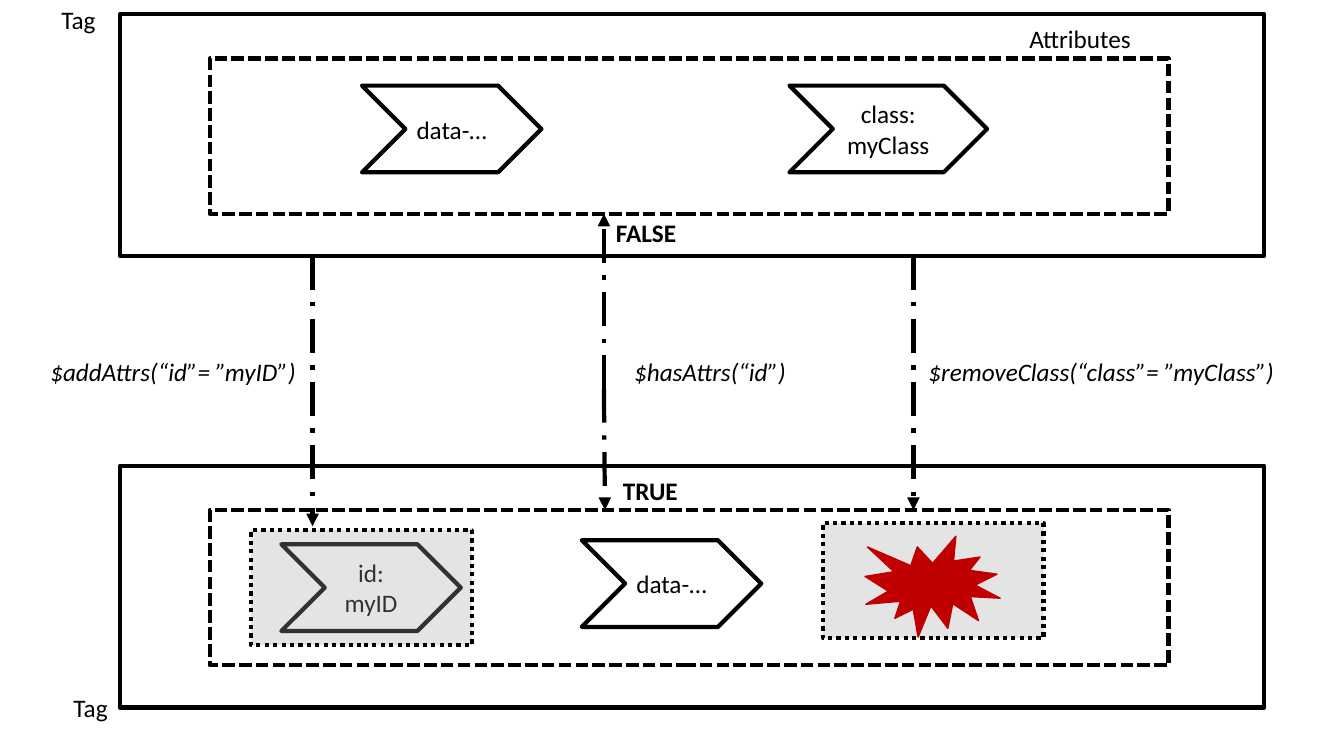
from pptx import Presentation
from pptx.dml.color import RGBColor
from pptx.enum.dml import MSO_LINE
from pptx.enum.shapes import MSO_CONNECTOR, MSO_SHAPE
from pptx.enum.text import MSO_ANCHOR, PP_ALIGN
from pptx.oxml.ns import qn
from pptx.util import Inches, Pt
from lxml.etree import SubElement

BLACK, GREY, RED = "000000", "A6A6A6", "C00000"
TAG_X, TAG_W, TAG_H = 1.19, 11.35, 2.4
TOP_Y, BOTTOM_Y = 0.14, 4.62
ATTRS_DX, ATTRS_DY = 0.89, 0.44


def color(value):
    return RGBColor.from_string(value)


def add_run(p, text, bold=False, italic=False):
    r = p.add_run()
    r.text = text
    r.font.name = "Calibri"
    r.font.size = Pt(18)
    r.font.bold = bold
    r.font.italic = italic
    r.font.color.rgb = color(BLACK)


def set_line(line, dash=None, width=3, line_color=BLACK):
    line.color.rgb = color(line_color)
    line.width = Pt(width)
    if dash is not None:
        line.dash_style = dash


def add_box(s, kind, x, y, w, h, dash=None, fill=None):
    sp = s.shapes.add_shape(kind, Inches(x), Inches(y), Inches(w), Inches(h))
    sp.shadow.inherit = False
    if fill:
        sp.fill.solid()
        sp.fill.fore_color.rgb = color(fill)
    else:
        sp.fill.background()
    set_line(sp.line, dash)
    return sp


def add_label(s, text, x, y, w, wrap=True, bold=False, italic=False):
    tf = s.shapes.add_textbox(Inches(x), Inches(y), Inches(w), Inches(0.4)).text_frame
    tf.word_wrap = wrap
    add_run(tf.paragraphs[0], text, bold, italic)


def add_arrow(s, x1, y1, x2, y2):
    c = s.shapes.add_connector(MSO_CONNECTOR.STRAIGHT, Inches(x1), Inches(y1),
                               Inches(x2), Inches(y2))
    set_line(c.line, MSO_LINE.LONG_DASH_DOT)
    SubElement(c.line._get_or_add_ln(), qn("a:tailEnd"), type="triangle")
    SubElement(c._element.spPr, qn("a:effectLst"))


def add_attribute(s, text, x, y, w=1.78):
    sp = add_box(s, MSO_SHAPE.CHEVRON, x, y, w, 0.86)
    tf = sp.text_frame
    tf.word_wrap = True
    tf.vertical_anchor = MSO_ANCHOR.MIDDLE
    p = tf.paragraphs[0]
    p.alignment = PP_ALIGN.CENTER
    add_run(p, text)


def add_highlight(s, x, y):
    """Translucent grey box that marks a changed attribute."""
    sp = add_box(s, MSO_SHAPE.RECTANGLE, x, y, 2.19, 1.14, MSO_LINE.ROUND_DOT, GREY)
    fill_color = sp._element.spPr.find(qn("a:solidFill"))[0]
    SubElement(fill_color, qn("a:alpha"), val="30000")


def add_tag(s, x, y, attributes):
    """Tag frame with its attribute frame; attributes are (text, dx, dy, width)."""
    add_box(s, MSO_SHAPE.RECTANGLE, x, y, TAG_W, TAG_H)
    add_box(s, MSO_SHAPE.RECTANGLE, x + ATTRS_DX, y + ATTRS_DY, 9.51, 1.54,
            MSO_LINE.SQUARE_DOT)
    for text, dx, dy, w in attributes:
        add_attribute(s, text, x + dx, y + dy, w)


def add_tag_before(s, x, y):
    add_tag(s, x, y, [("data-…", 2.4, 0.71, 1.78), ("class: myClass", 6.64, 0.71, 1.96)])
    add_label(s, "Tag", x - 0.68, y - 0.15, 0.55, wrap=False)
    add_label(s, "Attributes", x + 8.92, y + 0.04, 1.22, wrap=False)


def add_tag_after(s, x, y):
    add_tag(s, x, y, [("id: myID", 1.6, 0.78, 1.78), ("data-…", 4.58, 0.74, 1.78)])
    add_label(s, "Tag", x - 0.56, y + 2.2, 0.55, wrap=False)
    add_highlight(s, x + 1.3, y + 0.64)
    add_highlight(s, x + 6.97, y + 0.57)
    burst = add_box(s, MSO_SHAPE.EXPLOSION1, x + 7.39, y + 0.7, 1.34, 1, fill=RED)
    set_line(burst.line, width=1, line_color=RED)


def add_operations(s, top, bottom):
    """Arrows and calls between the lower edge of one tag and the upper edge of the next."""
    attrs_top = bottom + ATTRS_DY
    middle = top + 1.32
    add_arrow(s, 3.1, top, 3.1, bottom + 0.6)
    add_arrow(s, 5.99, middle, 5.99, top - 0.42)
    add_arrow(s, 5.99, middle, 6, attrs_top)
    add_arrow(s, 9.06, top, 9.06, attrs_top)
    for text, x, w in [("$addAttrs(“id”= ”myID”)", 0.4, 2.75),
                       ("$hasAttrs(“id”)", 6.19, 2.02),
                       ("$removeClass(“class”= ”myClass”)", 9.11, 3.88)]:
        add_label(s, text, x, top + 0.95, w, italic=True)
    add_label(s, "FALSE", 6.01, top - 0.43, 1.01, bold=True)
    add_label(s, "TRUE", 6.08, bottom + 0.05, 1.01, bold=True)


def main():
    prs = Presentation()
    prs.slide_width, prs.slide_height = Inches(13.33), Inches(7.5)
    s = prs.slides.add_slide(prs.slide_layouts[6])
    add_tag_before(s, TAG_X, TOP_Y)
    add_tag_after(s, TAG_X, BOTTOM_Y)
    add_operations(s, TOP_Y + TAG_H, BOTTOM_Y)
    prs.save("out.pptx")


if __name__ == "__main__":
    main()
